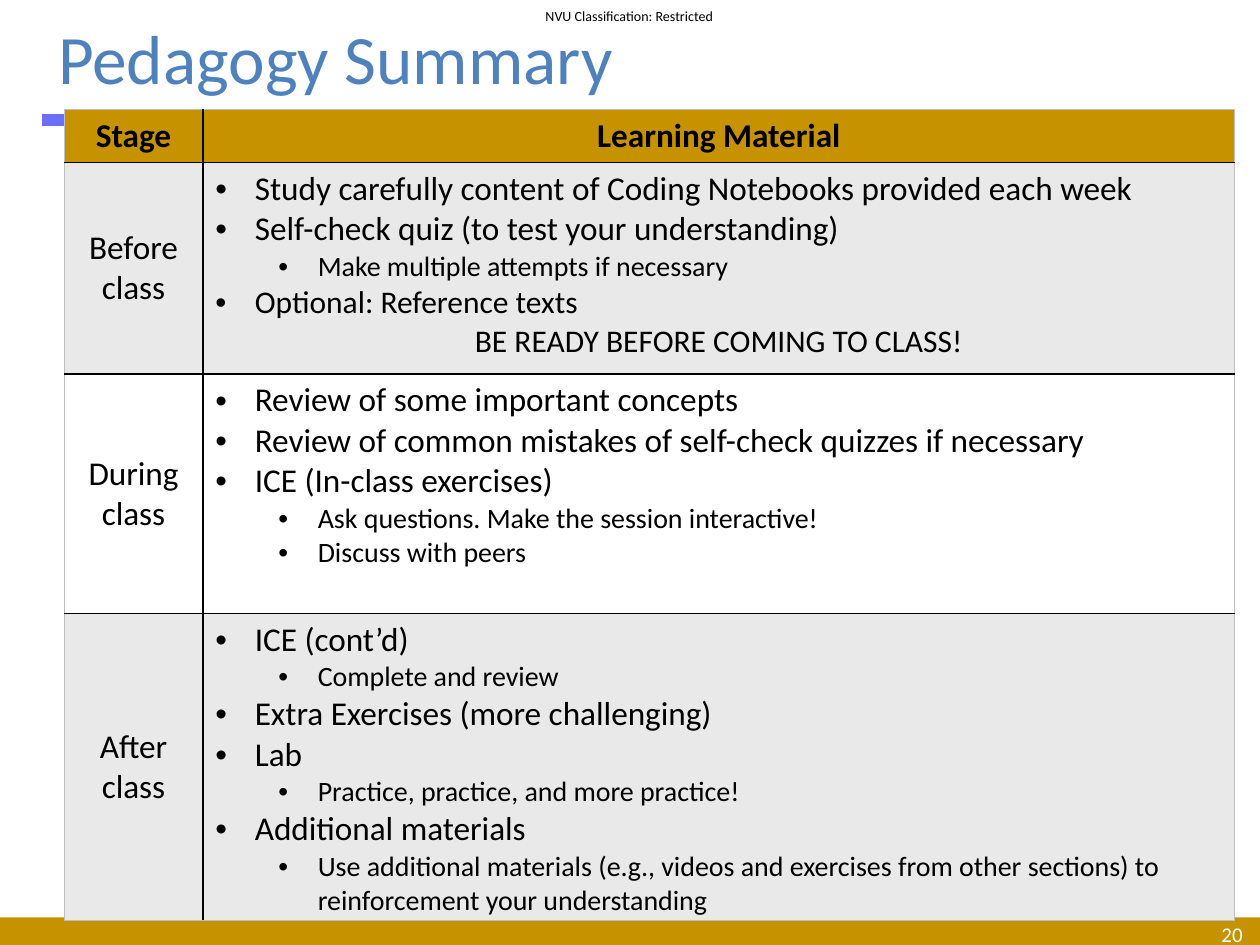
from pptx import Presentation
from pptx.dml.color import RGBColor
from pptx.enum.shapes import MSO_SHAPE as Shape
from pptx.enum.text import MSO_ANCHOR as Anchor, PP_ALIGN as Align
from pptx.oxml.ns import qn
from pptx.util import Pt
from lxml.etree import SubElement

BLACK = RGBColor(0x00, 0x00, 0x00)
WHITE = RGBColor(0xFF, 0xFF, 0xFF)
GOLD = RGBColor(0xC6, 0x92, 0x00)
GREY = RGBColor(0xE9, 0xE9, 0xE9)
EDGE = RGBColor(0xBF, 0xBF, 0xBF)
TITLE_BLUE = RGBColor(0x4F, 0x81, 0xBD)
BAR_STOPS = [(RGBColor(0x46, 0x4A, 0xFC), 80), (RGBColor(0x32, 0x35, 0xB4), 20)]
FONT = "Calibri"

# Content: (kind, text, size)
TITLE = "Pedagogy Summary"
CLASSIFICATION = "NVU Classification: Restricted"
PAGE_NUMBER = "20"
HEADER = ("Stage", "Learning Material")
STAGES = [
    ("Before class", GREY, [
        ("item", "Study carefully content of Coding Notebooks provided each week", 19),
        ("item", "Self-check quiz (to test your understanding)", 19),
        ("detail", "Make multiple attempts if necessary", 16),
        ("item", "Optional: Reference texts", 18),
        ("centred", "BE READY BEFORE COMING TO CLASS!", 18),
    ]),
    ("During class", None, [
        ("item", "Review of some important concepts", 19),
        ("item", "Review of common mistakes of self-check quizzes if necessary", 19),
        ("item", "ICE (In-class exercises)", 19),
        ("detail", "Ask questions. Make the session interactive!", 16),
        ("detail", "Discuss with peers", 16),
    ]),
    ("After class", GREY, [
        ("item", "ICE (cont’d)", 19),
        ("detail", "Complete and review", 16),
        ("item", "Extra Exercises (more challenging)", 19),
        ("item", "Lab", 19),
        ("detail", "Practice, practice, and more practice!", 16),
        ("item", "Additional materials", 19),
        ("detail", "Use additional materials (e.g., videos and exercises from other "
                   "sections) to reinforcement your understanding", 16),
    ]),
]

# Layout, in points
TABLE_LEFT, TABLE_TOP = 36.72, 62.64
COLUMN_WIDTHS = (79.2, 589.7)
ROW_HEIGHTS = (30.24, 120.96, 136.8, 174.96)
HANGING = 22.5
BULLET_LEVELS = {"item": (0, HANGING), "detail": (1, HANGING + 36)}


def write(paragraph, text, size, color=BLACK, align=Align.LEFT, bold=False):
    paragraph.alignment = align
    run = paragraph.add_run()
    run.text = text
    for name, value in {"name": FONT, "size": Pt(size), "bold": bold}.items():
        setattr(run.font, name, value)
    run.font.color.rgb = color


def add_label(slide, box, text, size, color, align, side_margin=0):
    label = slide.shapes.add_textbox(*map(Pt, box))
    frame = label.text_frame
    settings = {"word_wrap": True, "vertical_anchor": Anchor.MIDDLE,
                "margin_left": Pt(side_margin), "margin_right": Pt(side_margin),
                "margin_top": 0, "margin_bottom": 0}
    for name, value in settings.items():
        setattr(frame, name, value)
    write(frame.paragraphs[0], text, size, color, align)


def add_bar(slide, box):
    bar = slide.shapes.add_shape(Shape.RECTANGLE, *map(Pt, box))
    bar.shadow.inherit = False
    bar.line.fill.background()
    return bar


def set_bullet(paragraph, level, indent):
    paragraph.level = level
    properties = paragraph._p.get_or_add_pPr()
    properties.set("marL", str(Pt(indent)))
    properties.set("indent", str(-Pt(HANGING)))
    SubElement(properties, qn("a:buFont"), typeface="Arial")
    SubElement(properties, qn("a:buChar"), char="•")


def set_borders(cell, outer_sides):
    properties = cell._tc.get_or_add_tcPr()
    for position, side in enumerate("LRTB"):
        color, width = (EDGE, 0.5) if side in outer_sides else (BLACK, 1)
        line = SubElement(properties, qn(f"a:ln{side}"), w=str(Pt(width)))
        fill = SubElement(line, qn("a:solidFill"))
        SubElement(fill, qn("a:srgbClr"), val=str(color))
        properties.remove(line)
        properties.insert(position, line)


def format_cell(cell, fill, outer_sides):
    if fill is None:
        cell.fill.background()
    else:
        cell.fill.solid()
        cell.fill.fore_color.rgb = fill
    set_borders(cell, outer_sides)


def add_stage_table(slide):
    frame = slide.shapes.add_table(
        len(ROW_HEIGHTS), len(COLUMN_WIDTHS), Pt(TABLE_LEFT), Pt(TABLE_TOP),
        Pt(sum(COLUMN_WIDTHS)), Pt(sum(ROW_HEIGHTS)))
    table = frame.table
    table.first_row = table.horz_banding = False
    for column, width in zip(table.columns, COLUMN_WIDTHS):
        column.width = Pt(width)
    for row, height in zip(table.rows, ROW_HEIGHTS):
        row.height = Pt(height)

    # Fills and borders
    fills = [GOLD] + [fill for _, fill, _ in STAGES]
    for row, fill in enumerate(fills):
        row_edges = "T" * (row == 0) + "B" * (row == len(fills) - 1)
        for column, edge in enumerate("LR"):
            format_cell(table.cell(row, column), fill, edge + row_edges)

    # Text
    for column, heading in enumerate(HEADER):
        write(table.cell(0, column).text_frame.paragraphs[0], heading, 19,
              align=Align.CENTER, bold=True)
    for row, (stage, _, lines) in enumerate(STAGES, start=1):
        stage_cell = table.cell(row, 0)
        stage_cell.vertical_anchor = Anchor.MIDDLE
        write(stage_cell.text_frame.paragraphs[0], stage, 19, align=Align.CENTER)
        text_frame = table.cell(row, 1).text_frame
        for index, (kind, text, size) in enumerate(lines):
            paragraph = text_frame.add_paragraph() if index else text_frame.paragraphs[0]
            if kind in BULLET_LEVELS:
                set_bullet(paragraph, *BULLET_LEVELS[kind])
            write(paragraph, text, size,
                  align=Align.CENTER if kind == "centred" else Align.LEFT)


def main():
    presentation = Presentation()
    presentation.slide_width, presentation.slide_height = Pt(720), Pt(540)
    slide = presentation.slides.add_slide(presentation.slide_layouts[5])

    # Classification, footer band and accent bar
    add_label(slide, (301, 0, 117.4, 18), CLASSIFICATION, 8, BLACK, Align.CENTER)
    footer = add_bar(slide, (0, 524.2, 720, 18))
    footer.fill.solid()
    footer.fill.fore_color.rgb = GOLD
    accent = add_bar(slide, (24.5, 65.5, 679, 6.5))
    accent.fill.gradient()
    accent.fill.gradient_angle = 0
    for stop, (color, opacity) in zip(accent.fill.gradient_stops, BAR_STOPS):
        stop.color.rgb = color
        color_element = stop._gs.find(qn("a:srgbClr"))
        SubElement(color_element, qn("a:alpha"), val=str(opacity * 1000))

    # Title
    title = slide.shapes.title
    title.left, title.top, title.width, title.height = map(Pt, (26, 9.4, 516, 46))
    title.text_frame.vertical_anchor = Anchor.MIDDLE
    write(title.text_frame.paragraphs[0], TITLE, 39.6, TITLE_BLUE)

    # Page number and table
    add_label(slide, (549.4, 525, 167.8, 17.3), PAGE_NUMBER, 12, WHITE, Align.RIGHT, 7.2)
    add_stage_table(slide)
    presentation.save("out.pptx")


if __name__ == "__main__":
    main()
